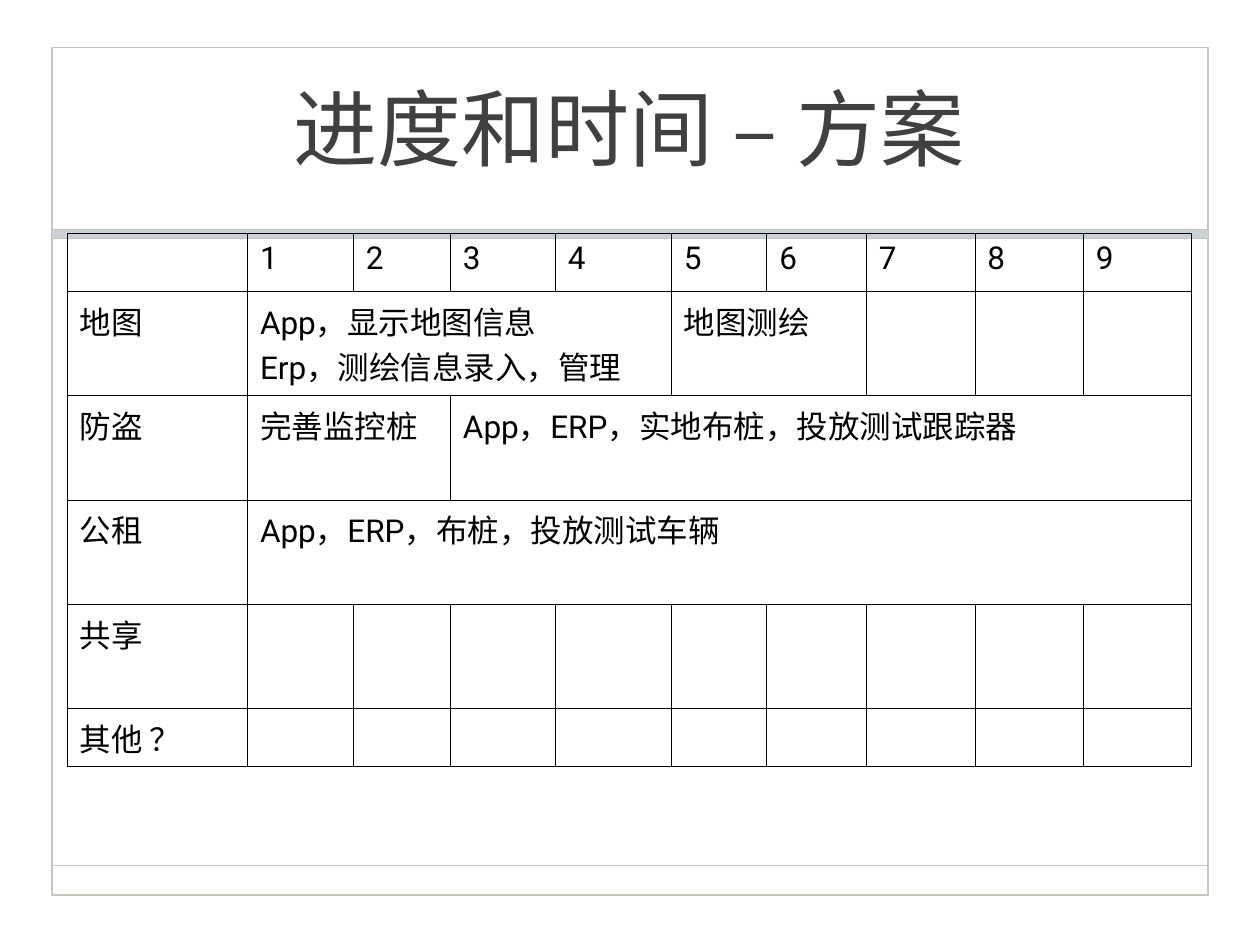
from typing import NamedTuple

from pptx import Presentation
from pptx import util as u
from pptx.dml.color import RGBColor
from pptx.enum import shapes, text
from pptx.oxml import parse_xml
from pptx.oxml.ns import nsdecls
from pptx.oxml.xmlchemy import OxmlElement

Pt = u.Pt
FONT = "Roboto"
FRAME_GREY = RGBColor(0xC7, 0xC6, 0xBC)
BAND_GREY = RGBColor(0xCB, 0xD2, 0xD5)
TITLE_GREY = RGBColor(0x40, 0x40, 0x40)
BLACK = RGBColor(0, 0, 0)

FRAME_LEFT, FRAME_WIDTH = 29.5, 661
FOOTER_Y = 494.6
COL_WIDTHS = [103, 60.5, 55.5, 60, 66.3, 54.5, 57, 62, 62, 62]
ROW_HEIGHTS = [33, 59.6, 59.6, 59.6, 59.6, 33]
BORDER_WIDTH = 0.45


class Bar(NamedTuple):
    top: float
    height: float
    line_width: float
    fill: RGBColor | None = None


class Entry(NamedTuple):
    row: int
    col: int
    text: str
    span: int = 1


BARS = [Bar(27.2, 484.4, 1), Bar(131, 5.2, 0.25, BAND_GREY)]
TOPICS = ["地图", "防盗", "公租", "共享", "其他 ？"]
ENTRIES = [
    *(Entry(0, n, str(n)) for n in range(1, len(COL_WIDTHS))),
    *(Entry(row, 0, topic) for row, topic in enumerate(TOPICS, 1)),
    Entry(1, 1, "App，显示地图信息\nErp，测绘信息录入，管理", 4),
    Entry(1, 5, "地图测绘", 2),
    Entry(2, 1, "完善监控桩", 2),
    Entry(2, 3, "App，ERP，实地布桩，投放测试跟踪器", 7),
    Entry(3, 1, "App，ERP，布桩，投放测试车辆", 9),
]


def format_text(tf, size: float, color: RGBColor) -> None:
    for p in tf.paragraphs:
        for r in p.runs:
            r.font.name = FONT
            r.font.size = Pt(size)
            r.font.bold = False
            r.font.color.rgb = color


def draw_bar(s, bar: Bar) -> None:
    sp = s.shapes.add_shape(
        shapes.MSO_SHAPE.RECTANGLE,
        Pt(FRAME_LEFT), Pt(bar.top), Pt(FRAME_WIDTH), Pt(bar.height))
    sp.shadow.inherit = False
    if bar.fill is None:
        sp.fill.background()
    else:
        sp.fill.solid()
        sp.fill.fore_color.rgb = bar.fill
    sp.line.color.rgb = FRAME_GREY
    sp.line.width = Pt(bar.line_width)


def draw_footer_rule(s) -> None:
    rule = s.shapes.add_connector(
        shapes.MSO_CONNECTOR.STRAIGHT,
        Pt(FRAME_LEFT), Pt(FOOTER_Y), Pt(FRAME_LEFT + FRAME_WIDTH), Pt(FOOTER_Y))
    rule.line.color.rgb = FRAME_GREY
    rule.line.width = Pt(1)
    rule._element.spPr.append(OxmlElement("a:effectLst"))


def write_title(s, title: str) -> None:
    sp = s.shapes.title
    sp.left, sp.top, sp.width, sp.height = Pt(70.5), Pt(19.5), Pt(578), Pt(106)
    tf = sp.text_frame
    tf.text = title
    tf.vertical_anchor = text.MSO_ANCHOR.MIDDLE
    tf.paragraphs[0].alignment = text.PP_ALIGN.CENTER
    format_text(tf, 48, TITLE_GREY)


def style_cell(cell) -> None:
    tc_pr = cell._tc.get_or_add_tcPr()
    for side in "LRTB":
        tc_pr.append(parse_xml(
            f'<a:ln{side} {nsdecls("a")} w="{Pt(BORDER_WIDTH)}">'
            f'<a:solidFill><a:srgbClr val="{BLACK}"/></a:solidFill></a:ln{side}>'))
    cell.fill.background()


def draw_schedule(s) -> None:
    table = s.shapes.add_table(
        len(ROW_HEIGHTS), len(COL_WIDTHS), Pt(38.4), Pt(133.5),
        Pt(sum(COL_WIDTHS)), Pt(sum(ROW_HEIGHTS))).table
    table.first_row = False
    table.horz_banding = False
    for column, width in zip(table.columns, COL_WIDTHS):
        column.width = Pt(width)
    for row, height in zip(table.rows, ROW_HEIGHTS):
        row.height = Pt(height)
    for cell in table.iter_cells():
        style_cell(cell)
    for entry in ENTRIES:
        cell = table.cell(entry.row, entry.col)
        if entry.span > 1:
            cell.merge(table.cell(entry.row, entry.col + entry.span - 1))
        cell.text_frame.text = entry.text
        format_text(cell.text_frame, 18, BLACK)


def main() -> None:
    prs = Presentation()
    prs.slide_width, prs.slide_height = Pt(720), Pt(540)
    s = prs.slides.add_slide(prs.slide_layouts[5])
    for bar in BARS:
        draw_bar(s, bar)
    draw_footer_rule(s)
    write_title(s, "进度和时间 – 方案")
    draw_schedule(s)
    prs.save("out.pptx")


if __name__ == "__main__":
    main()
